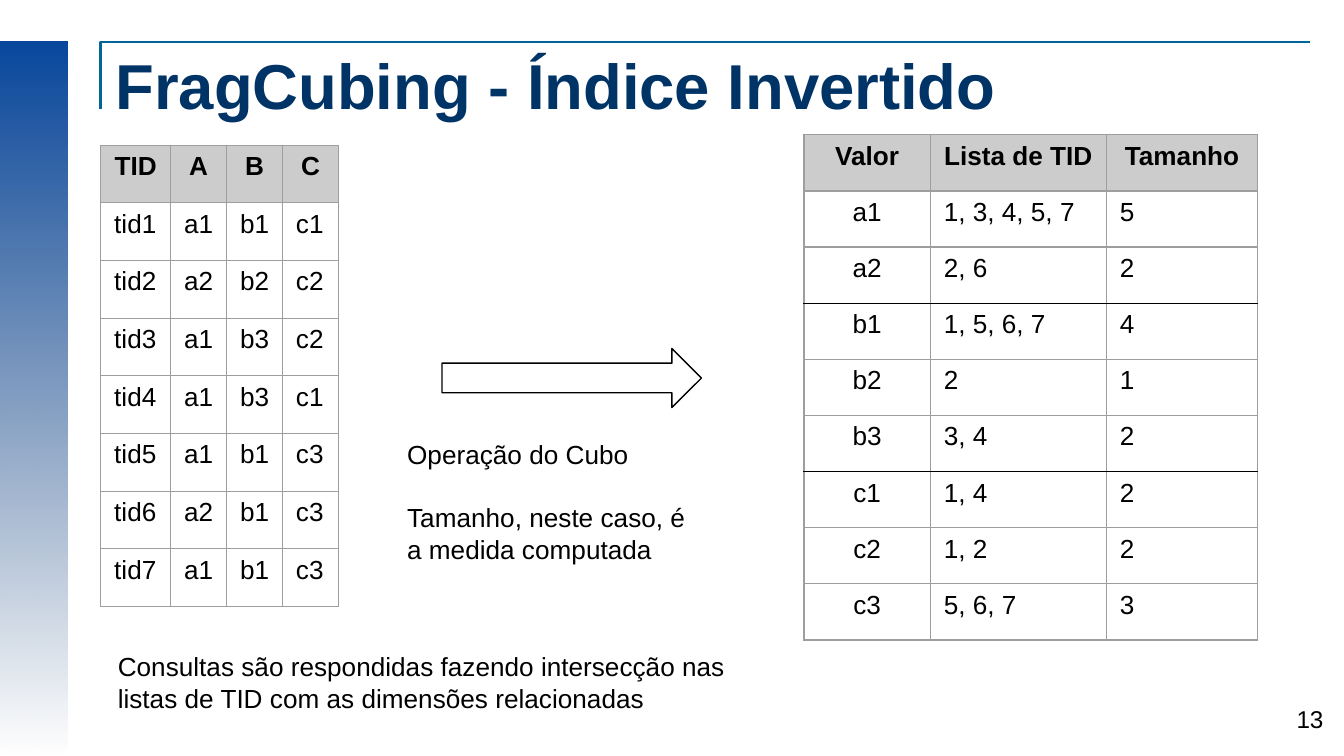
from dataclasses import dataclass

from lxml.etree import SubElement as Sub
from pptx import Presentation
from pptx.dml.color import RGBColor as Rgb
from pptx.enum.shapes import MSO_SHAPE as Kind
from pptx.enum.text import MSO_ANCHOR as Anchor, MSO_AUTO_SIZE as Fit, PP_ALIGN as Align
from pptx.oxml.ns import qn
from pptx.util import Pt


@dataclass(frozen=True)
class Theme:
    font: str = "Arial"
    ink: str = "000000"
    title: str = "003366"
    rule: str = "006699"
    band: str = "08479C"
    fade: str = "05326D"
    head: str = "CCCCCC"
    grid: str = "9E9E9E"
    big: float = 34
    body: float = 14
    small: float = 13
    thin: float = 0.75
    thick: float = 1.5


THEME = Theme()

TUPLES = [
    "TID A B C".split(),
    "tid1 a1 b1 c1".split(),
    "tid2 a2 b2 c2".split(),
    "tid3 a1 b3 c2".split(),
    "tid4 a1 b3 c1".split(),
    "tid5 a1 b1 c3".split(),
    "tid6 a2 b1 c3".split(),
    "tid7 a1 b1 c3".split(),
]

INDEX = [
    ["Valor", "Lista de TID", "Tamanho"],
    ["a1", "1, 3, 4, 5, 7", "5"],
    ["a2", "2, 6", "2"],
    ["b1", "1, 5, 6, 7", "4"],
    ["b2", "2", "1"],
    ["b3", "3, 4", "2"],
    ["c1", "1, 4", "2"],
    ["c2", "1, 2", "2"],
    ["c3", "5, 6, 7", "3"],
]


def write(frame, text, size=THEME.body, color=THEME.ink, bold=False,
          align=Align.LEFT, gap=0):
    for i, line in enumerate(text.split("\n")):
        para = frame.add_paragraph() if i else frame.paragraphs[0]
        para.alignment = align
        if i and gap:
            para.space_before = Pt(gap)
        run = para.add_run()
        run.text = line
        run.font.name = THEME.font
        run.font.size = Pt(size)
        run.font.bold = bold
        run.font.color.rgb = Rgb.from_string(color)


def add_text(slide, box, text, pad=(7.2, 7.2), anchor=Anchor.TOP, fit=Fit.NONE, **style):
    frame = slide.shapes.add_textbox(*map(Pt, box)).text_frame
    frame.word_wrap = True
    frame.auto_size = fit
    frame.vertical_anchor = anchor
    frame.margin_left = frame.margin_right = Pt(pad[0])
    frame.margin_top = frame.margin_bottom = Pt(pad[1])
    write(frame, text, **style)


def outline(shape, color, width):
    shape.shadow.inherit = False
    shape.fill.background()
    shape.line.color.rgb = Rgb.from_string(color)
    shape.line.width = Pt(width)


def add_band(slide, box):
    band = slide.shapes.add_shape(Kind.RECTANGLE, *map(Pt, box))
    band.shadow.inherit = False
    band.line.fill.background()
    band.fill.gradient()
    band.fill.gradient_angle = 270
    for stop, color in zip(band.fill.gradient_stops, (THEME.band, THEME.fade)):
        stop.color.rgb = Rgb.from_string(color)
    last = list(band._element.spPr.iter(qn("a:srgbClr")))[-1]
    Sub(last, qn("a:alpha"), val="0")


def add_corner(slide, left, top, right, low):
    pen = slide.shapes.build_freeform(Pt(left), Pt(low))
    pen.add_line_segments([(Pt(left), Pt(top)), (Pt(right), Pt(top))], close=False)
    outline(pen.convert_to_shape(), THEME.rule, THEME.thick)


def add_arrow(slide, box):
    arrow = slide.shapes.add_shape(Kind.RIGHT_ARROW, *map(Pt, box))
    outline(arrow, THEME.ink, THEME.thin)


def edge(cell, top, base):
    props = cell._tc.get_or_add_tcPr()
    sides = {"L": THEME.grid, "R": THEME.grid, "T": top, "B": base}
    for side, color in sides.items():
        line = Sub(props, qn("a:ln" + side), w=str(Pt(THEME.thin)))
        fill = Sub(line, qn("a:solidFill"))
        Sub(fill, qn("a:srgbClr"), val=color)


def add_grid(slide, left, top, widths, height, data, mid=(), breaks=()):
    size = (sum(widths), height * len(data))
    table = slide.shapes.add_table(len(data), len(widths),
                                   *map(Pt, (left, top, *size))).table
    table.first_row = table.horz_banding = False
    for col, width in zip(table.columns, widths):
        col.width = Pt(width)
    for r, row in enumerate(data):
        table.rows[r].height = Pt(height)
        head = r == 0
        over, under = (THEME.ink if n in breaks else THEME.grid for n in (r, r + 1))
        for c, text in enumerate(row):
            cell = table.cell(r, c)
            cell.margin_left = cell.margin_right = Pt(7.2)
            cell.margin_top = cell.margin_bottom = Pt(3.6)
            edge(cell, over, under)
            if head:
                cell.fill.solid()
                cell.fill.fore_color.rgb = Rgb.from_string(THEME.head)
            else:
                cell.fill.background()
            align = Align.CENTER if head or c in mid else Align.LEFT
            write(cell.text_frame, text, bold=head, align=align)


def main():
    deck = Presentation()
    deck.slide_width, deck.slide_height = Pt(720), Pt(405)
    slide = deck.slides.add_slide(deck.slide_layouts[6])

    add_band(slide, (0, 22.5, 36.4, 382.5))
    add_corner(slide, 54, 22.5, 702, 58.5)
    add_text(slide, (54, 22.5, 642, 45), "FragCubing - Índice Invertido",
             pad=(8, 4), anchor=Anchor.MIDDLE, size=THEME.big,
             color=THEME.title, bold=True)
    add_text(slide, (674, 373.5, 43, 31), "13", pad=(8, 4),
             size=THEME.small, align=Align.RIGHT)

    add_grid(slide, 54, 77.75, (37.4, 30, 30, 30), 30.9, TUPLES)
    add_grid(slide, 430.7, 72.2, (67.7, 94.3, 81.2), 30.1, INDEX,
             mid=(0,), breaks=(3, 6))
    add_arrow(slide, (236.8, 186.7, 139, 31.7))
    add_text(slide, (211, 227.8, 169.2, 81.4),
             "Operação do Cubo\nTamanho, neste caso, é a medida computada",
             fit=Fit.SHAPE_TO_FIT_TEXT, gap=17)
    add_text(slide, (56, 341.5, 356.4, 48),
             "Consultas são respondidas fazendo intersecção nas listas de TID "
             "com as dimensões relacionadas", fit=Fit.SHAPE_TO_FIT_TEXT)
    deck.save("out.pptx")


if __name__ == "__main__":
    main()
